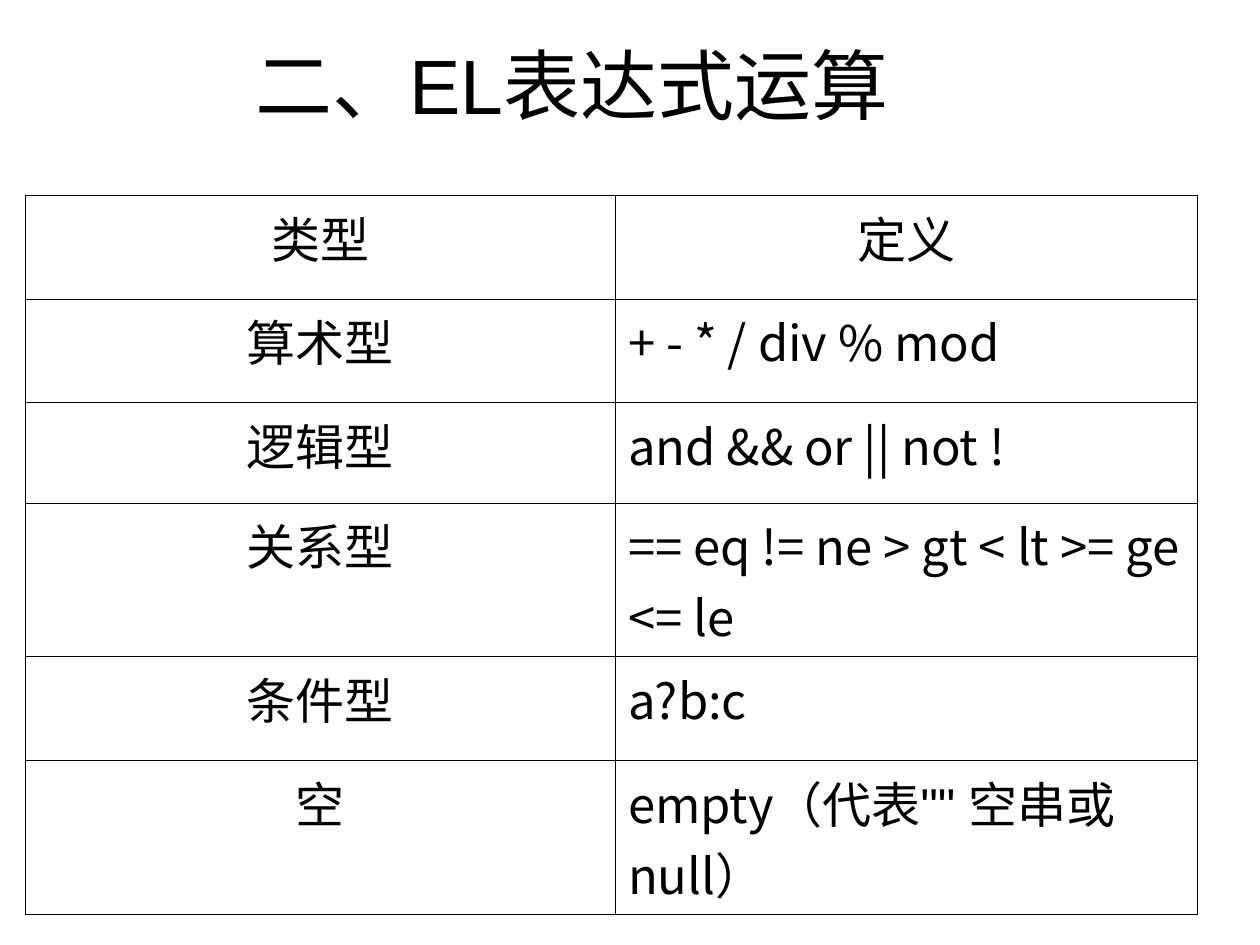
from lxml.etree import SubElement
from pptx import Presentation
from pptx.dml.color import RGBColor
from pptx.enum.text import MSO_ANCHOR, PP_ALIGN
from pptx.oxml.ns import qn
from pptx.util import Pt

SANS = "Noto Sans CJK SC"
BLACK = "000000"
TITLE = [("二、EL表达式运算", "Arial")]
ROWS = [
    ("类型", "定义"),
    ("算术型", "+ - * / div % mod"),
    ("逻辑型", "and && or || not !"),
    ("关系型", "== eq != ne > gt < lt >= ge <= le"),
    ("条件型", "a?b:c"),
    ("空", [("empty（代表", SANS), ('"" 空串', "Arial"), ("或null）", SANS)]),
]
COLUMN_WIDTHS = [337.3, 332.3]
ROW_HEIGHTS = [59.2, 59.2, 57.4, 88, 59.2, 88]
TITLE_BOX = (18, 23.8, 617.8, 48.2)
TABLE_LEFT, TABLE_TOP = 14.4, 111.6
BORDER_WIDTH = 0.45


def color(value):
    return RGBColor.from_string(value)


def write_runs(paragraph, parts, size, alignment):
    paragraph.alignment = alignment
    for text, font_name in parts:
        run = paragraph.add_run()
        run.text = text
        for name, value in {"size": Pt(size), "name": font_name}.items():
            setattr(run.font, name, value)
        run.font.color.rgb = color(BLACK)
        SubElement(run.font._element, qn("a:ea"), typeface=SANS)


def add_borders(cell):
    properties = cell._tc.get_or_add_tcPr()
    for side in ("a:lnL", "a:lnR", "a:lnT", "a:lnB"):
        line = SubElement(properties, qn(side), w=str(int(Pt(BORDER_WIDTH))))
        fill = SubElement(line, qn("a:solidFill"))
        SubElement(fill, qn("a:srgbClr"), val=BLACK)


def add_title(slide):
    shape = slide.shapes.add_textbox(*map(Pt, TITLE_BOX))
    frame_format = {
        "word_wrap": True,
        "vertical_anchor": MSO_ANCHOR.MIDDLE,
        "margin_top": 0,
        "margin_bottom": 0,
    }
    for name, value in frame_format.items():
        setattr(shape.text_frame, name, value)
    write_runs(shape.text_frame.paragraphs[0], TITLE, 44, PP_ALIGN.CENTER)


def add_operator_table(slide):
    table = slide.shapes.add_table(
        len(ROWS), len(COLUMN_WIDTHS), Pt(TABLE_LEFT), Pt(TABLE_TOP),
        Pt(sum(COLUMN_WIDTHS)), Pt(sum(ROW_HEIGHTS)),
    ).table
    for name in ("first_row", "horz_banding"):
        setattr(table, name, False)
    for column, width in zip(table.columns, COLUMN_WIDTHS):
        column.width = Pt(width)
    for row, height in zip(table.rows, ROW_HEIGHTS):
        row.height = Pt(height)
    for row_index, row in enumerate(ROWS):
        for column_index, content in enumerate(row):
            cell = table.cell(row_index, column_index)
            add_borders(cell)
            cell.fill.background()
            centered = row_index == 0 or column_index == 0
            parts = [(content, SANS)] if isinstance(content, str) else content
            write_runs(cell.text_frame.paragraphs[0], parts, 28,
                       PP_ALIGN.CENTER if centered else PP_ALIGN.LEFT)


def main():
    presentation = Presentation()
    presentation.slide_width, presentation.slide_height = Pt(720), Pt(540)
    slide = presentation.slides.add_slide(presentation.slide_layouts[6])
    add_title(slide)
    add_operator_table(slide)
    presentation.save("out.pptx")


if __name__ == "__main__":
    main()
